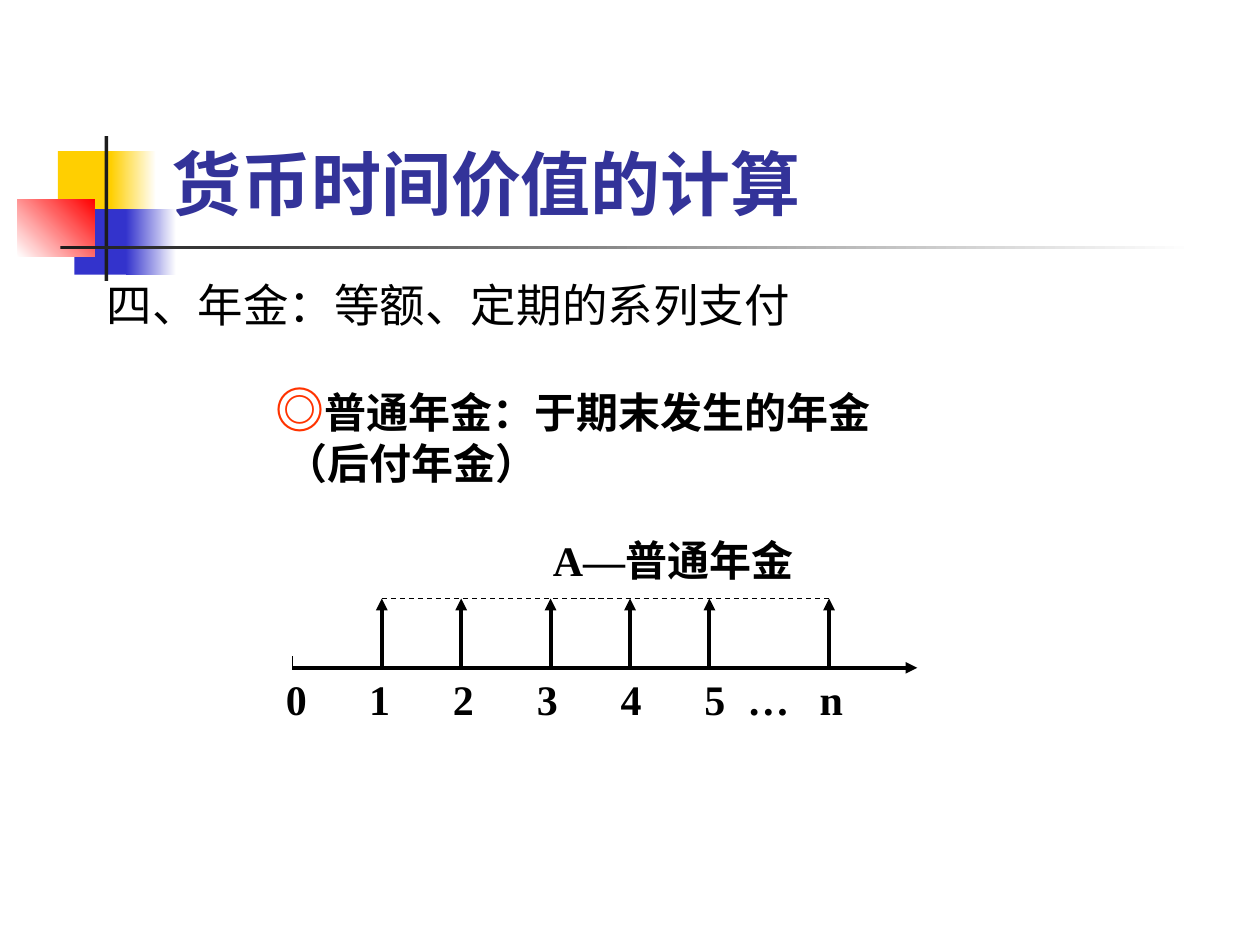
from dataclasses import dataclass
from lxml.etree import SubElement as Sub
from pptx import Presentation
from pptx.dml.color import RGBColor as RGB
from pptx.enum.dml import MSO_LINE as Dash
from pptx.enum.shapes import MSO_CONNECTOR as Conn, MSO_SHAPE as Shape
from pptx.enum.text import MSO_ANCHOR as Anchor, PP_ALIGN as Align
from pptx.oxml.ns import qn
from pptx.util import Inches, Pt


@dataclass(frozen=True)
class Theme:
    gold: str = "FFCF01"
    blue: str = "3333CC"
    red: str = "FF0000"
    dark: str = "1C1C1C"
    white: str = "FFFFFF"
    navy: str = "333399"
    black: str = "000000"
    mark: str = "FF3300"
    head: str = "Cabin"
    sans: str = "Noto Sans CJK SC"
    serif: str = "Times New Roman"
    big: int = 40
    lead: int = 26
    ring: int = 28
    body: int = 24
    thin: float = 0.75
    thick: float = 2.25


T = Theme()
WIDE, HIGH = Inches(10), Inches(7.5)
COLS, ROWS = 100, 75


def col(n):
    return round(WIDE * n / COLS)


def row(n):
    return round(HIGH * n / ROWS)


def area(x, y, w, h):
    return col(x), row(y), col(w), row(h)


def style(run, size, face, color, bold=True):
    font = run.font
    font.size, font.name, font.bold = Pt(size), face, bold
    font.color.rgb = RGB.from_string(color)
    Sub(run._r.rPr, qn("a:ea"), typeface=T.sans)


def block(shapes, box, first, last=None, angle=0):
    """Rectangle in one colour, or fading from first to last."""
    rect = shapes.add_shape(Shape.RECTANGLE, *area(*box))
    rect.shadow.inherit = False
    rect.line.fill.background()
    if last is None:
        rect.fill.solid()
        rect.fill.fore_color.rgb = RGB.from_string(first)
        return
    rect.fill.gradient()
    rect.fill.gradient_angle = angle
    for stop, color in zip(rect.fill.gradient_stops, (first, last)):
        stop.color.rgb = RGB.from_string(color)


def stroke(shapes, start, end, width, arrow=False, dash=False):
    line = shapes.add_connector(Conn.STRAIGHT, col(start[0]), row(start[1]),
                                col(end[0]), row(end[1]))
    line.line.color.rgb = RGB.from_string(T.black)
    line.line.width = Pt(width)
    if dash:
        line.line.dash_style = Dash.DASH
    if arrow:
        Sub(line.line._get_or_add_ln(), qn("a:tailEnd"), type="triangle")
    Sub(line._element.spPr, qn("a:effectLst"))


def label(shapes, box, *lines):
    """Text box; each line is a list of (text, size, face, color, bold)."""
    frame = shapes.add_textbox(*area(*box)).text_frame
    frame.word_wrap = True
    for i, parts in enumerate(lines):
        para = frame.add_paragraph() if i else frame.paragraphs[0]
        for text, *look in parts:
            run = para.add_run()
            run.text = text
            style(run, *look)
    return frame.paragraphs


def tabs(para, stops):
    """Centred tab stops, in columns from the text edge."""
    props = para._p.get_or_add_pPr()
    group = Sub(props, qn("a:tabLst"))
    for stop in stops:
        Sub(group, qn("a:tab"), pos=str(col(stop)), algn="ctr")


def motif(shapes):
    block(shapes, (4.6, 12, 4.8, 5.2), T.gold)
    block(shapes, (8.8, 12, 3.6, 5.2), T.gold, T.white)
    block(shapes, (5.9, 16.6, 4.6, 5.2), T.blue)
    block(shapes, (10, 16.6, 4, 5.2), T.blue, T.white)
    block(shapes, (1.4, 15.8, 6.1, 4.6), T.white, T.red, 45)
    block(shapes, (8.3, 10.8, 0.3, 11.5), T.dark)
    block(shapes, (4.8, 19.5, 90, 0.3), T.dark, T.white)


def heading(title):
    title.left, title.top, title.width, title.height = area(12.6, 2.3, 85.2, 16)
    frame = title.text_frame
    frame.text = "货币时间价值的计算"
    frame.vertical_anchor = Anchor.BOTTOM
    para = frame.paragraphs[0]
    para.alignment = Align.LEFT
    style(para.runs[0], T.big, T.head, T.navy)


def chart(shapes):
    """Time line with one equal payment at the end of each period."""
    base, top, zero = 53, 47.5, 23.2
    pays = (30.3, 36.6, 43.7, 50, 56.3, 65.8)
    look = (T.body, T.serif, T.black)
    stroke(shapes, (zero, base - 0.1), (zero, base - 0.9), T.thin)
    stroke(shapes, (zero, base), (72.8, base), T.thick, arrow=True)
    for x in pays:
        stroke(shapes, (x, base), (x, top), T.thick, arrow=True)
    stroke(shapes, (pays[0], top), (pays[-1], top), T.thin, dash=True)
    # Period numbers
    marks = ["0", "1", "2", "3", "4", "5", "…", "n"]
    scale = label(shapes, (21.7, base, 49.6, 5), [("\t".join(marks), *look)])
    tabs(scale[0], [0.8 + 6.65 * n for n in range(1, 6)] + [38.3, 43.3])
    label(shapes, (42.9, 41.9, 24.4, 5), [("A—普通年金", *look)])


def main():
    deck = Presentation()
    deck.slide_width, deck.slide_height = WIDE, HIGH
    slide = deck.slides.add_slide(deck.slide_layouts[5])
    shapes = slide.shapes
    motif(shapes)
    heading(shapes.title)
    # Topic and definition
    label(shapes, (7.5, 21.5, 89, 5.4),
          [("四、年金：等额、定期的系列支付", T.lead, T.sans, T.black, False)])
    look = (T.body, T.serif, T.black)
    chart(shapes.add_group_shape().shapes)
    lines = label(shapes, (20.9, 29.6, 62.2, 9.7),
                  [("◎", T.ring, T.sans, T.mark),
                   ("普通年金：于期末发生的年金", *look)],
                  [("（后付年金）", *look)])
    lines[1]._p.get_or_add_pPr().set("marL", str(col(0.8)))
    deck.save("out.pptx")


if __name__ == "__main__":
    main()
